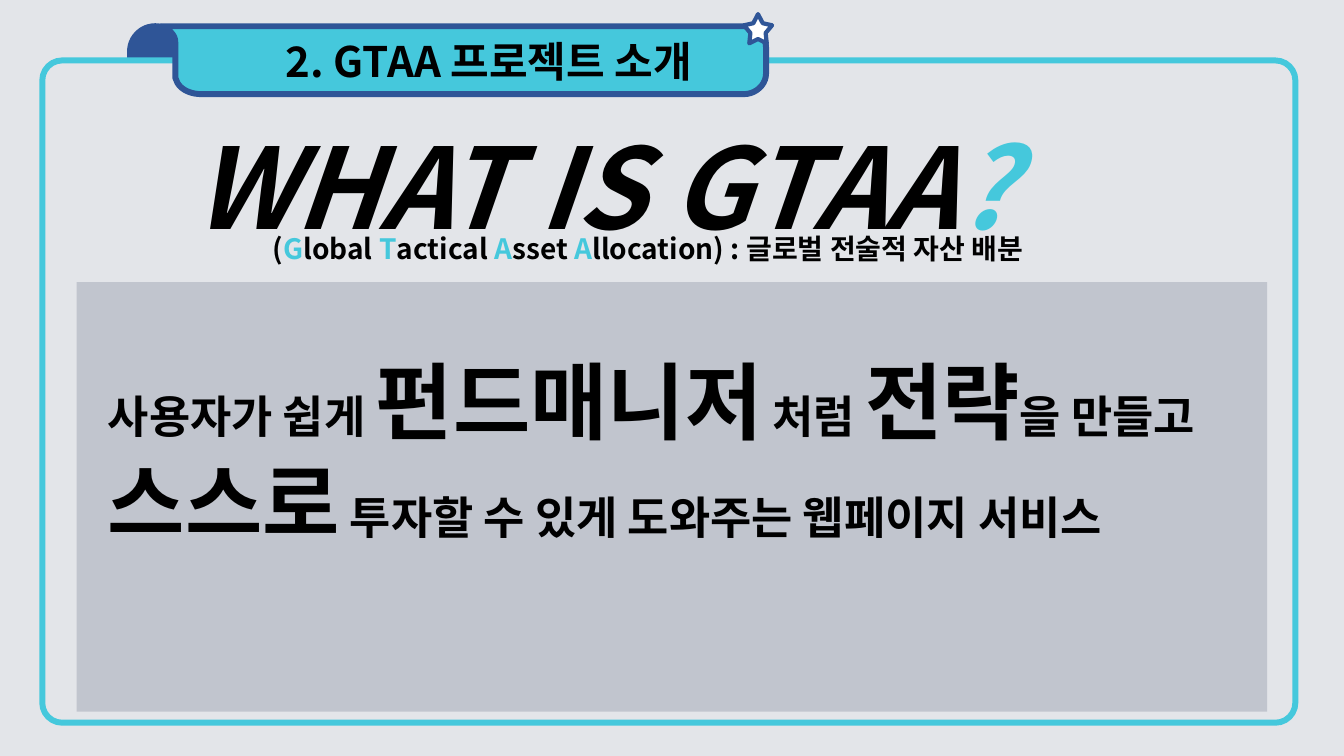
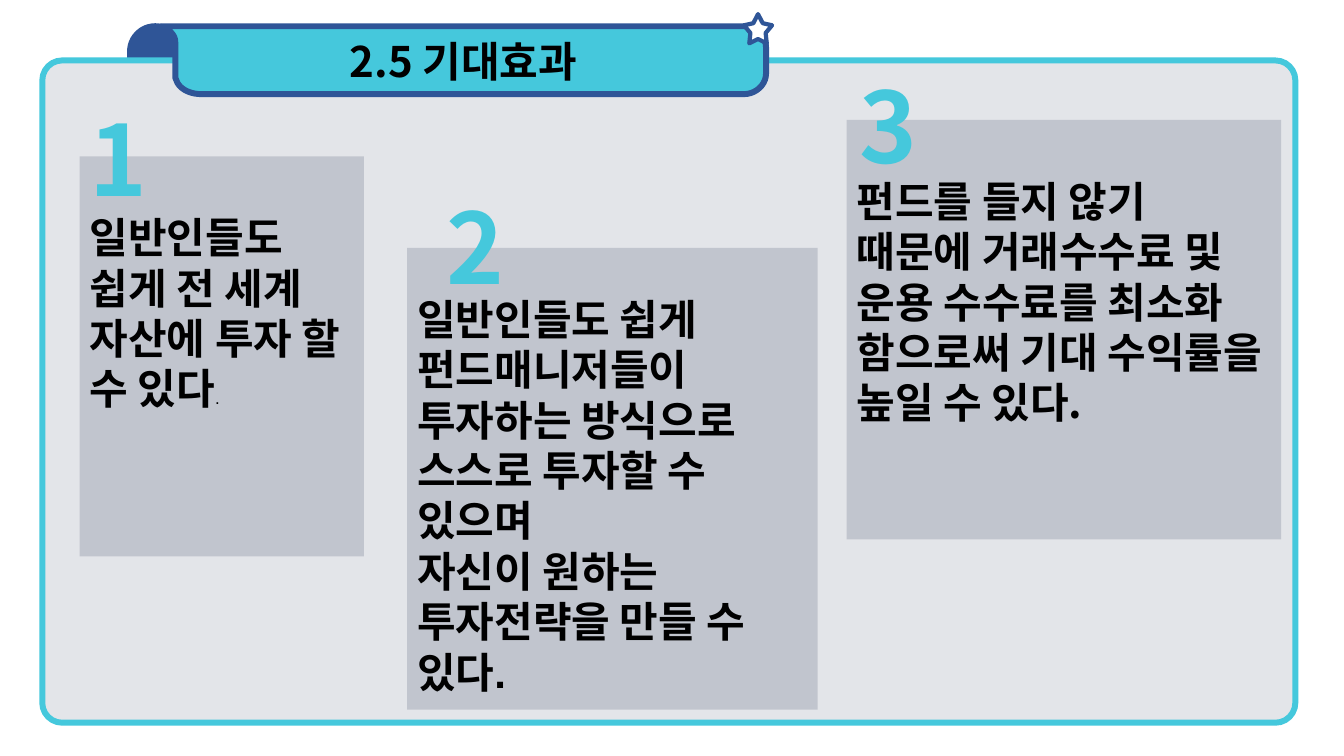
from dataclasses import dataclass

from lxml.etree import SubElement
from pptx import Presentation
from pptx.dml.color import RGBColor
from pptx.enum.shapes import MSO_SHAPE as Preset
from pptx.enum.text import MSO_ANCHOR as Anchor, MSO_AUTO_SIZE as AutoSize, PP_ALIGN as Align
from pptx.oxml.ns import qn
from pptx.util import Inches, Pt


@dataclass(frozen=True)
class Theme:
    accent: str = "45C8DC"
    navy: str = "2F5597"
    surface: str = "E3E5E9"
    panel: str = "BDC1CB"
    white: str = "FFFFFF"
    ink: str = "000000"
    panel_opacity: int = 87
    font: str = "Noto Sans CJK KR"
    latin_font: str = "Arial"
    heading: int = 80
    number: int = 70
    emphasis: int = 60
    statement: int = 32
    body: int = 30
    caption: int = 20
    small: int = 12
    border: float = 4.25
    star_border: float = 3


@dataclass(frozen=True)
class Box:
    left: float
    top: float
    width: float
    height: float

    def share(self, left, top, width, height):
        return Box(
            self.left + self.width * left / 100,
            self.top + self.height * top / 100,
            self.width * width / 100,
            self.height * height / 100,
        )

    def emu(self):
        return [Inches(v) for v in (self.left, self.top, self.width, self.height)]


THEME = Theme()
PAGE = Box(0, 0, 13.33, 7.5)
TITLE_ONLY = 5
CURVE_STEPS = 10
RIBBON_START = (55, 0)
RIBBON_OUTLINE = [
    [(96.33, 0)],
    [(98.33, 0), (100, 13.24), (100, 30.88)],
    [(100, 69.12)],
    [(100, 85.29), (98.33, 99), (96.33, 99)],
    [(6.67, 99)],
    [(4.83, 99), (3.33, 92.65), (2.67, 82.35)],
    [(2.33, 75)],
    [(2.33, 23.53)],
    [(2.33, 14.71), (1.67, 7.35), (0.67, 2.94)],
    [(0, 1.47)],
    [(0, 0)],
]


def color(value):
    return RGBColor.from_string(value)


def paint(shape, fill, line=None, width=THEME.border):
    shape.shadow.inherit = False
    shape.fill.solid()
    shape.fill.fore_color.rgb = color(fill)
    if line:
        shape.line.color.rgb = color(line)
        shape.line.width = Pt(width)
    else:
        shape.line.fill.background()


def add_preset(slide, preset, box, fill, line=None, width=THEME.border, adjustments=()):
    shape = slide.shapes.add_shape(preset, *box.emu())
    for index, value in enumerate(adjustments):
        shape.adjustments[index] = value
    paint(shape, fill, line, width)
    return shape


def add_panel(slide, box):
    shape = add_preset(slide, Preset.RECTANGLE, box, THEME.panel)
    tint = shape.element.spPr.find(f"{qn('a:solidFill')}/{qn('a:srgbClr')}")
    SubElement(tint, qn("a:alpha")).set("val", str(THEME.panel_opacity * 1000))
    return shape


def set_font(font, size, ink=THEME.ink, name=THEME.font, bold=True, italic=False):
    font.name = name
    font.size = Pt(size)
    font.bold = bold
    font.italic = italic
    font.color.rgb = color(ink)


def set_frame(frame, side=0.05, top=0.05, anchor=Anchor.TOP):
    frame.word_wrap = True
    frame.auto_size = AutoSize.NONE
    frame.vertical_anchor = anchor
    frame.margin_left = frame.margin_right = Inches(side)
    frame.margin_top = Inches(top)
    frame.margin_bottom = Inches(0.05)
    return frame


def add_text_box(slide, box, side=0.05):
    return set_frame(slide.shapes.add_textbox(*box.emu()).text_frame, side)


def write_plain(paragraph, text, size, align=Align.LEFT, **style):
    paragraph.text = text
    paragraph.alignment = align
    set_font(paragraph.font, size, **style)


def write_runs(paragraph, runs, align=Align.LEFT):
    paragraph.alignment = align
    for text, style in runs:
        run = paragraph.add_run()
        run.text = text
        set_font(run.font, **style)


def curve_points(start, first, second, end):
    for step in range(1, CURVE_STEPS + 1):
        t = step / CURVE_STEPS
        weights = ((1 - t) ** 3, 3 * t * (1 - t) ** 2, 3 * t * t * (1 - t), t ** 3)
        yield tuple(
            sum(weight * point[axis] for weight, point in zip(weights, (start, first, second, end)))
            for axis in (0, 1)
        )


def draw_ribbon(slide, box):
    points = [RIBBON_START]
    for segment in RIBBON_OUTLINE:
        points += segment if len(segment) == 1 else curve_points(points[-1], *segment)
    corners = [box.share(x, y, 0, 0).emu()[:2] for x, y in points]
    builder = slide.shapes.build_freeform(*corners[0])
    builder.add_line_segments(corners[1:], close=True)
    paint(builder.convert_to_shape(), THEME.accent, THEME.navy)


def place_title(slide, box, text):
    title = slide.shapes.title
    title.left, title.top, title.width, title.height = box.emu()
    write_plain(set_frame(title.text_frame, anchor=Anchor.MIDDLE).paragraphs[0],
                text, THEME.body, Align.CENTER)
    tree = title.element.getparent()
    tree.append(title.element)


def start_slide(presentation, title, background, title_shift=0):
    slide = presentation.slides.add_slide(presentation.slide_layouts[TITLE_ONLY])
    slide.background.fill.solid()
    slide.background.fill.fore_color.rgb = color(background)
    add_preset(slide, Preset.ROUND_2_SAME_RECTANGLE, PAGE.share(9.68, 3.47, 3.75, 13.07),
               THEME.navy, THEME.navy, adjustments=(0.5, 0))
    add_preset(slide, Preset.ROUNDED_RECTANGLE, PAGE.share(3.15, 8, 93.23, 87.6),
               THEME.surface, THEME.accent, adjustments=(0.03,))
    ribbon = PAGE.share(12, 3.47, 45, 9.07)
    draw_ribbon(slide, ribbon)
    place_title(slide, ribbon.share(title_shift, 0, 100, 100), title)
    add_preset(slide, Preset.STAR_5_POINT, PAGE.share(55.35, 1.87, 2.1, 3.87),
               THEME.white, THEME.navy, THEME.star_border, (0.27,))
    return slide


def draw_heading(slide, box):
    paragraph = add_text_box(slide, box).paragraphs[0]
    paragraph.line_spacing = 1.5
    style = dict(size=THEME.heading, italic=True)
    write_runs(paragraph, [("WHAT IS GTAA", style), ("?", dict(style, ink=THEME.accent))],
               Align.CENTER)


def draw_expansion(slide, box):
    paragraph = add_text_box(slide, box).paragraphs[0]
    paragraph.line_spacing = 1.5
    plain = dict(size=THEME.caption)
    initial = dict(plain, ink=THEME.accent)
    runs = [("(", plain)]
    for letter, rest in (("G", "lobal "), ("T", "actical "), ("A", "sset "),
                         ("A", "llocation) : 글로벌 전술적 자산 배분")):
        runs += [(letter, initial), (rest, plain)]
    write_runs(paragraph, runs, Align.CENTER)


def draw_statement(slide, box):
    add_panel(slide, box)
    frame = add_text_box(slide, box.share(2.2, 14.55, 98.31, 62))
    plain = dict(size=THEME.statement)
    strong = dict(size=THEME.emphasis)
    write_runs(frame.paragraphs[0], [
        ("사용자가 쉽게 ", plain), ("펀드매니저", strong), (" 처럼 ", plain),
        ("전략", strong), ("을 만들고 ", plain), ("스스로", strong),
        (" 투자할 수 있게 도와주는 웹페이지 서비스", plain),
    ])


def draw_card(slide, box, number, number_shift, top_margin):
    frame = set_frame(add_panel(slide, box).text_frame, 0.1, top_margin)
    label = box.share(*number_shift, 0, 0)
    label_frame = add_text_box(slide, Box(label.left, label.top, 1.41, 1.3), 0.1)
    write_plain(label_frame.paragraphs[0], str(number), THEME.number, ink=THEME.accent)
    return frame


def build_introduction(presentation):
    slide = start_slide(presentation, "2. GTAA 프로젝트 소개", THEME.surface, 4.17)
    draw_heading(slide, PAGE.share(7.65, 6, 74.48, 19.07))
    draw_expansion(slide, PAGE.share(13.2, 27.73, 70.05, 8))
    draw_statement(slide, PAGE.share(5.7, 37.33, 88.58, 56.8))


def build_benefits(presentation):
    slide = start_slide(presentation, "2.5 기대효과", THEME.white)
    access = draw_card(slide, PAGE.share(5.93, 20.67, 21.15, 52.93), 1, (0, -15.62), 0.55)
    write_runs(access.paragraphs[0], [
        ("일반인들도 쉽게 전 세계 자산에 투자 할 수 있다", dict(size=THEME.body)),
        (".", dict(size=THEME.small, name=THEME.latin_font, bold=False)),
    ])
    strategy = draw_card(slide, PAGE.share(30.3, 32.8, 30.53, 61.07), 2, (7.13, -14.41), 0.45)
    write_plain(strategy.paragraphs[0],
                "일반인들도 쉽게 펀드매니저들이 투자하는 방식으로 스스로 투자할 수 있으며",
                THEME.body, name=THEME.latin_font)
    write_plain(strategy.add_paragraph(), "자신이 원하는 투자전략을 만들 수 있다.",
                THEME.body, name=THEME.latin_font)
    fees = draw_card(slide, PAGE.share(63, 15.87, 32.33, 55.47), 3, (0.7, -14.18), 0.55)
    write_plain(fees.paragraphs[0],
                "펀드를 들지 않기 때문에 거래수수료 및 운용 수수료를 최소화 함으로써 "
                "기대 수익률을 높일 수 있다.", THEME.body)


def main():
    presentation = Presentation()
    presentation.slide_width = Inches(PAGE.width)
    presentation.slide_height = Inches(PAGE.height)
    build_introduction(presentation)
    build_benefits(presentation)
    presentation.save("out.pptx")


if __name__ == "__main__":
    main()
